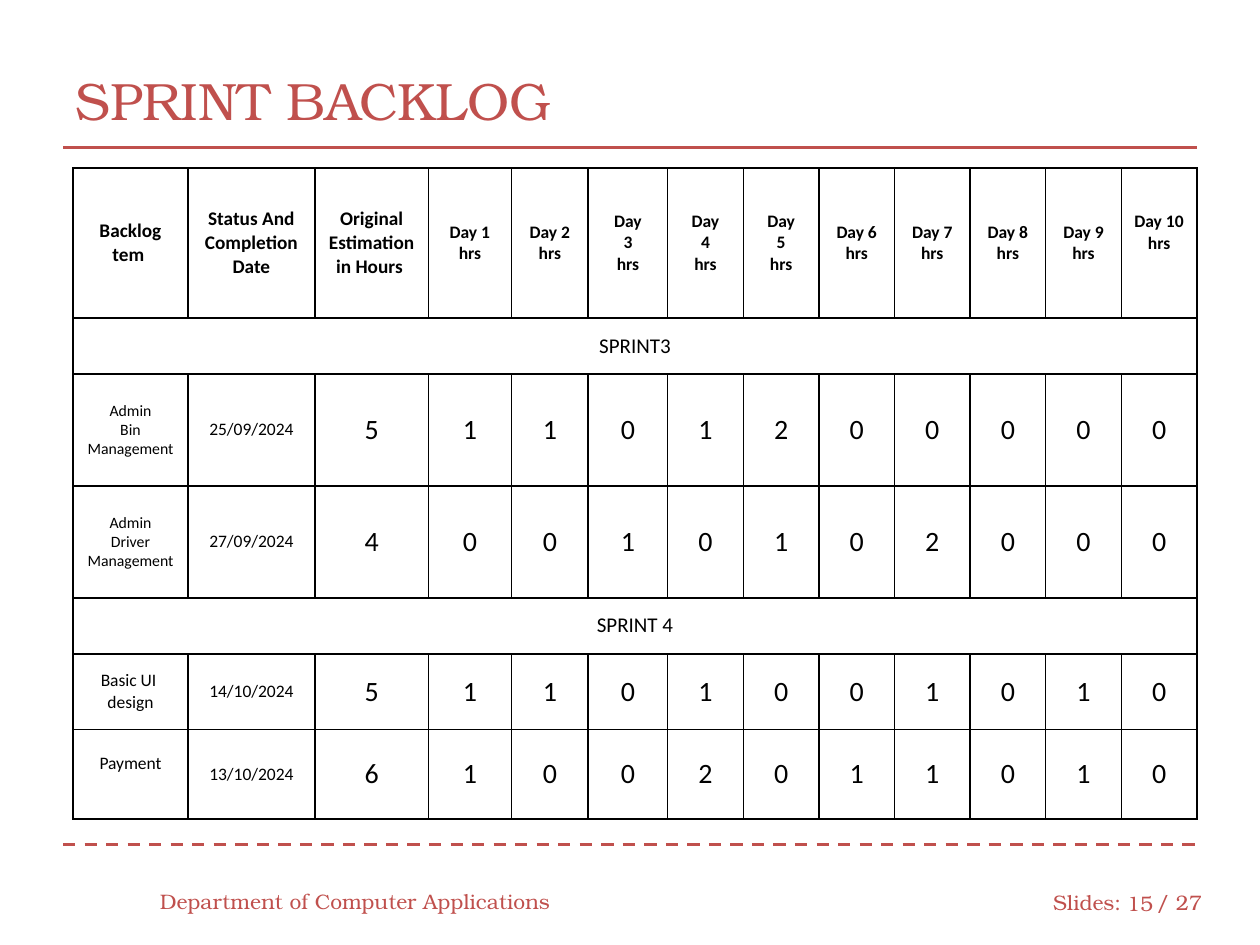
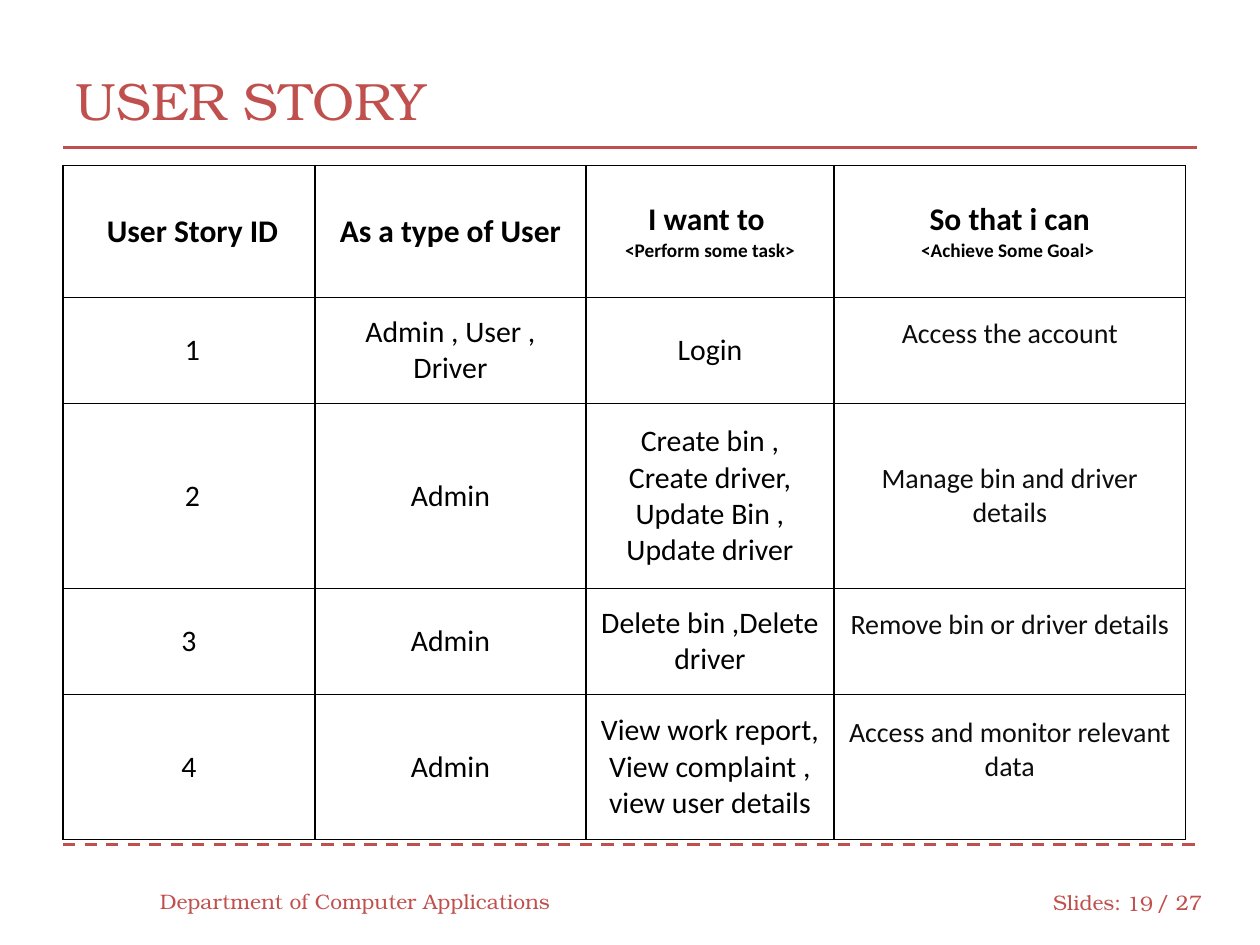
from dataclasses import dataclass

import pptx
import pptx.dml.color
import pptx.enum.dml
import pptx.enum.shapes
import pptx.enum.text
import pptx.oxml
import pptx.oxml.ns
import pptx.util

Pt = pptx.util.Pt
Align = pptx.enum.text.PP_ALIGN
Dash = pptx.enum.dml.MSO_LINE
MIDDLE = pptx.enum.text.MSO_ANCHOR.MIDDLE


# Theme: colours, fonts and type sizes
@dataclass(frozen=True)
class Theme:
    accent: str = "C0504D"
    ink: str = "000000"
    soft_ink: str = "0D0D0D"
    paper: str = "FFFFFF"
    display_font: str = "TeX Gyre Bonum"
    table_font: str = "Calibri"
    title_size: float = 30
    footer_size: float = 12
    rule_width: float = 1.75
    border_width: float = 1
    side_padding: float = 7.2
    cell_padding: float = 6.5


THEME = Theme()


@dataclass(frozen=True)
class Label:
    text: str
    left: float
    top: float
    width: float
    align: Align = Align.LEFT


@dataclass(frozen=True)
class Rule:
    top: float
    dash: Dash = Dash.SOLID


@dataclass(frozen=True)
class Entry:
    """A table cell; each line of text is a paragraph, lift raises the text."""
    text: str
    size: float
    bold: bool = False
    color: str = THEME.ink
    lift: float = 0
    last_size: float = 0
    padding: float = THEME.cell_padding
    span: int = 1


@dataclass(frozen=True)
class Grid:
    left: float
    top: float
    columns: list[float]
    rows: list[float]
    entries: list[list[Entry]]


@dataclass(frozen=True)
class PageContent:
    title: str
    number: int
    grid: Grid


# Parts that every slide shares
RULES = [Rule(482.4, Dash.DASH), Rule(84.24)]
LABELS = [
    Label("Slides:", 594.7, 501.1, 54),
    Label("/ 27", 653.8, 501.1, 41.8),
    Label("Department of Computer Applications", 84.24, 500.4, 240),
]
RULE_LEFT, RULE_RIGHT = 36, 684
LABEL_HEIGHT = 28.8


def rgb(color: str) -> pptx.dml.color.RGBColor:
    return pptx.dml.color.RGBColor.from_string(color)


def style_para(para, font: str, size: float, color: str, align: Align,
               bold: bool = False) -> None:
    para.alignment = align
    for span in para.runs:
        span.font.name = font
        span.font.size = Pt(size)
        span.font.bold = bold
        span.font.color.rgb = rgb(color)


def add_label(page, label: Label) -> None:
    box = page.shapes.add_textbox(Pt(label.left), Pt(label.top),
                                  Pt(label.width), Pt(LABEL_HEIGHT))
    frame = box.text_frame
    frame.word_wrap = True
    frame.vertical_anchor = MIDDLE
    frame.text = label.text
    style_para(frame.paragraphs[0], THEME.display_font, THEME.footer_size,
               THEME.accent, label.align)


def add_rule(page, rule: Rule) -> None:
    line = page.shapes.add_connector(
        pptx.enum.shapes.MSO_CONNECTOR.STRAIGHT,
        Pt(RULE_LEFT), Pt(rule.top), Pt(RULE_RIGHT), Pt(rule.top))
    line.line.color.rgb = rgb(THEME.accent)
    line.line.width = Pt(THEME.rule_width)
    line.line.dash_style = rule.dash
    properties = line._element.spPr
    properties.append(properties.makeelement(pptx.oxml.ns.qn("a:effectLst"), {}))


def set_title(page, text: str) -> None:
    title = page.shapes.title
    title.left, title.top = Pt(36), Pt(24)
    title.width, title.height = Pt(648), Pt(66)
    frame = title.text_frame
    frame.text = text
    frame.vertical_anchor = MIDDLE
    style_para(frame.paragraphs[0], THEME.display_font, THEME.title_size,
               THEME.accent, Align.LEFT)


# Tables
def set_borders(cell) -> None:
    properties = cell._tc.get_or_add_tcPr()
    for position, side in enumerate("LRTB"):
        border = pptx.oxml.parse_xml(
            f'<a:ln{side} {pptx.oxml.ns.nsdecls("a")} '
            f'w="{Pt(THEME.border_width)}"><a:solidFill>'
            f'<a:srgbClr val="{THEME.ink}"/></a:solidFill></a:ln{side}>')
        properties.insert(position, border)


def fill_cell(cell, entry: Entry) -> None:
    cell.vertical_anchor = MIDDLE
    cell.margin_left = cell.margin_right = Pt(THEME.side_padding)
    cell.margin_top = Pt(entry.padding)
    cell.margin_bottom = Pt(entry.padding + 2 * entry.lift)
    cell.text_frame.text = entry.text
    paras = cell.text_frame.paragraphs
    for para in paras:
        style_para(para, THEME.table_font, entry.size, entry.color,
                   Align.CENTER, entry.bold)
    if entry.last_size:
        for span in paras[-1].runs:
            span.font.size = Pt(entry.last_size)


def add_grid(page, grid: Grid) -> None:
    table = page.shapes.add_table(
        len(grid.rows), len(grid.columns), Pt(grid.left), Pt(grid.top),
        Pt(sum(grid.columns)), Pt(sum(grid.rows))).table
    table.first_row = table.horz_banding = False
    for column, width in zip(table.columns, grid.columns):
        column.width = Pt(width)
    for row, height in zip(table.rows, grid.rows):
        row.height = Pt(height)
    for cell in table.iter_cells():
        cell.fill.solid()
        cell.fill.fore_color.rgb = rgb(THEME.paper)
        set_borders(cell)
    for row, entries in enumerate(grid.entries):
        for column, entry in enumerate(entries):
            cell = table.cell(row, column)
            if entry.span > 1:
                cell.merge(table.cell(row, column + entry.span - 1))
            fill_cell(cell, entry)


# Sprint backlog content
DAY_COUNT = 10
BACKLOG_COLUMNS = [65.5, 72.7, 64.8, 47.5, 43.9, 45.4] + [43.2] * 7


def backlog_header() -> list[Entry]:
    heads = ["Backlog tem ", "Status And Completion Date",
             "Original Estimation in Hours "]
    entries = [Entry(head, 11, bold=True) for head in heads]
    for day in range(1, DAY_COUNT + 1):
        gap = "\n" if day in (3, 4, 5) else " "
        entries.append(Entry(f"Day{gap}{day}\nhrs", 10, bold=True,
                             lift=6 if day == DAY_COUNT else 0))
    return entries


def sprint_band(name: str) -> list[Entry]:
    return [Entry(name, 12, padding=3.6, span=len(BACKLOG_COLUMNS))]


def backlog_item(name: str, date: str, hours: str, size: float = 10,
                 lift: float = 0) -> list[Entry]:
    """Hours holds the estimate, then one figure for each day."""
    return [Entry(name, size, lift=lift), Entry(date, 10),
            *(Entry(figure, 16) for figure in hours.split())]


BACKLOG = Grid(41.8, 96, BACKLOG_COLUMNS,
               [85.7, 32, 64, 64, 32, 43.2, 51.1], [
    backlog_header(),
    sprint_band("SPRINT3"),
    backlog_item("Admin\nBin Management", "25/09/2024",
                 "5 1 1 0 1 2 0 0 0 0 0", size=9),
    backlog_item("Admin\nDriver Management", "27/09/2024",
                 "4 0 0 1 0 1 0 2 0 0 0", size=9),
    sprint_band("SPRINT 4"),
    backlog_item("Basic UI \ndesign", "14/10/2024", "5 1 1 0 1 0 0 1 0 1 0"),
    backlog_item("Payment", "13/10/2024", "6 1 0 0 2 0 1 1 0 1 0", lift=6),
])


# User story content
def story(number: str, user: str, task: str, goal: str,
          lift: float = 9.75) -> list[Entry]:
    return [*(Entry(text, 17) for text in (number, user, task)),
            Entry(goal, 16, color=THEME.soft_ink, lift=lift)]


STORIES = Grid(36, 94.5, [144, 154.8, 141.8, 200.9],
               [75.6, 60.5, 105.8, 60.5, 82.8], [
    [Entry(" User Story ID", 18, bold=True),
     Entry("As a type of User", 18, bold=True),
     Entry("I want to \n<Perform some task>", 18, bold=True, last_size=11),
     Entry("So that i can\n<Achieve Some Goal> ", 18, bold=True, last_size=11)],
    story(" 1", "Admin , User , Driver", "Login", "Access the account"),
    story(" 2", "Admin", "Create bin , Create driver, Update Bin , Update driver",
          "Manage bin and driver details", lift=0),
    story("3", "Admin", "Delete bin ,Delete driver",
          "Remove bin or driver details"),
    story("4", "Admin", "View work report, View complaint , view user details",
          "Access and monitor relevant data"),
])

PAGES = [PageContent("SPRINT BACKLOG", 15, BACKLOG),
         PageContent("USER STORY", 19, STORIES)]


def add_page(deck, content: PageContent) -> None:
    page = deck.slides.add_slide(deck.slide_layouts.get_by_name("Title Only"))
    page.background.fill.solid()
    page.background.fill.fore_color.rgb = rgb(THEME.paper)
    for rule in RULES:
        add_rule(page, rule)
    set_title(page, content.title)
    number = Label(str(content.number), 635.8, 501.8, 30.2, Align.RIGHT)
    for label in [*LABELS, number]:
        add_label(page, label)
    add_grid(page, content.grid)


def main() -> None:
    deck = pptx.Presentation()
    deck.slide_width, deck.slide_height = Pt(720), Pt(540)
    for content in PAGES:
        add_page(deck, content)
    deck.save("out.pptx")


if __name__ == "__main__":
    main()
